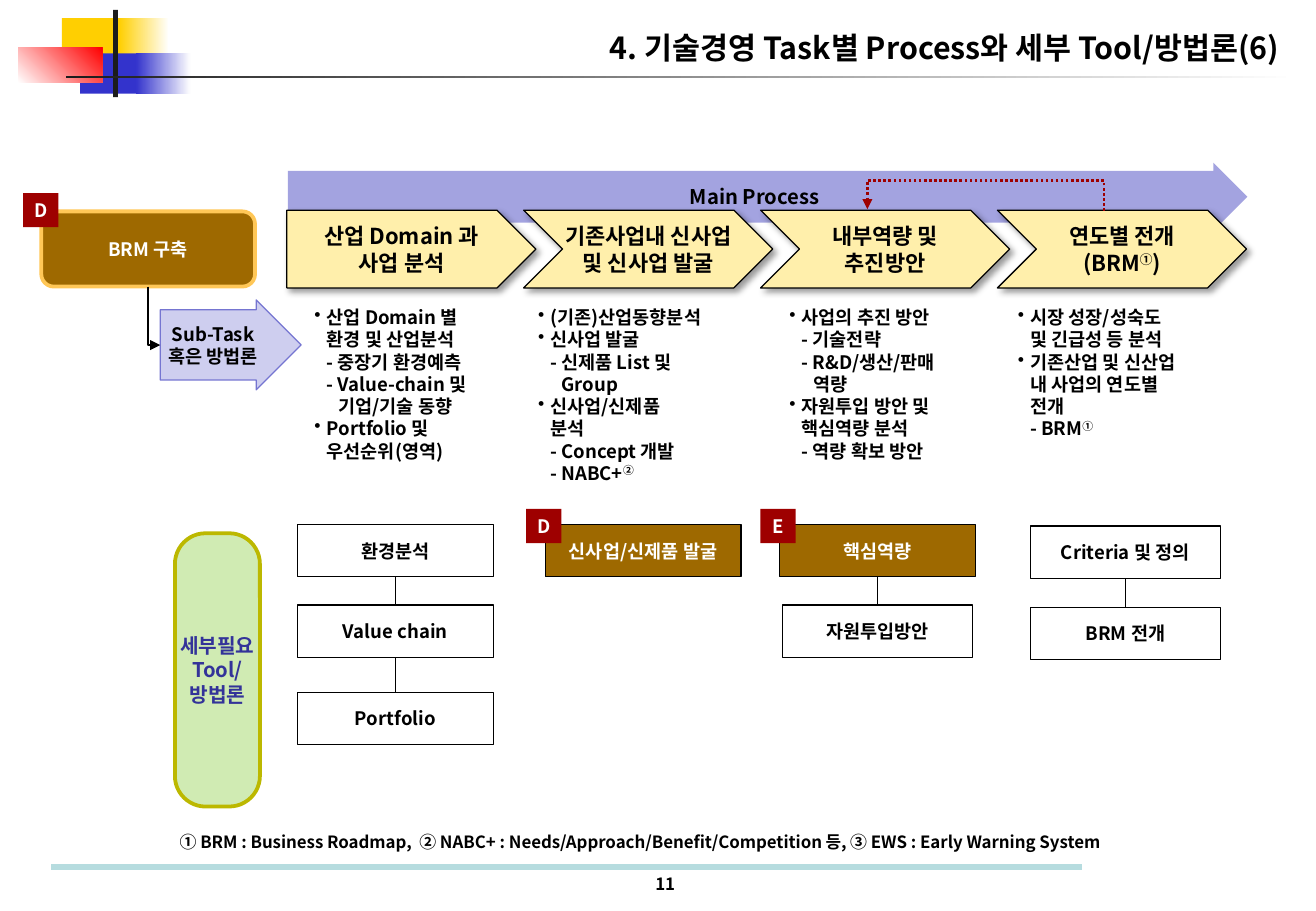
"""Build the technology-management process slide with its tools and methods."""
from lxml.etree import SubElement
from pptx import Presentation
from pptx.dml.color import RGBColor
from pptx.enum.dml import MSO_LINE
from pptx.enum.shapes import MSO_CONNECTOR, MSO_SHAPE
from pptx.enum.text import MSO_ANCHOR, MSO_AUTO_SIZE, PP_ALIGN
from pptx.oxml.ns import qn
from pptx.util import Pt

FONT = "Noto Sans CJK KR"
BLACK, WHITE = RGBColor(0, 0, 0), RGBColor(255, 255, 255)
YELLOW, BLUE, RED = RGBColor(0xFF, 0xCF, 0x01), RGBColor(0x33, 0x33, 0xCC), RGBColor(0xFF, 0, 0)
CHARCOAL, TEAL = RGBColor(0x1C, 0x1C, 0x1C), RGBColor(0xB6, 0xDC, 0xDF)
LAVENDER, PALE_LAVENDER = RGBColor(0xA3, 0xA3, 0xE0), RGBColor(0xCE, 0xCE, 0xEF)
VIOLET, NAVY = RGBColor(0x75, 0x75, 0xD1), RGBColor(0x33, 0x33, 0x99)
CREAM, BROWN, GOLD = RGBColor(0xFF, 0xEF, 0xAB), RGBColor(0x9E, 0x69, 0), RGBColor(0xFF, 0xC7, 0x57)
GREEN, OLIVE, MAROON = RGBColor(0xD0, 0xEB, 0xB3), RGBColor(0xBC, 0xB8, 0), RGBColor(0x9E, 0, 0)

TITLE = "4. 기술경영 Task별 Process와 세부 Tool/방법론(6)"
FOOTNOTE = ("① BRM : Business Roadmap,  ② NABC+ : Needs/Approach/Benefit/Competition 등, "
            "③ EWS : Early Warning System")
DECORATION = [
    (36.7, 10.8, 38.9, 23.8, YELLOW, None, 0),
    (70.6, 10.8, 29.5, 23.8, YELLOW, WHITE, 0),
    (47.5, 31.7, 37.4, 23.8, BLUE, None, 0),
    (80.6, 31.7, 32.4, 23.8, BLUE, WHITE, 0),
    (10.8, 28.1, 49.7, 20.9, WHITE, RED, 45),
    (67, 5.8, 2.9, 51.8, CHARCOAL, None, 0),
    (38.9, 44.9, 730, 1.2, CHARCOAL, WHITE, 0),
]
STAGES = [["산업 Domain 과", "사업 분석"], ["기존사업내 신사업", "및 신사업 발굴"],
          ["내부역량 및", "추진방안"], ["연도별 전개", "(BRM^①^)"]]
DETAILS = [
    (179.3, 111.6, ["산업 Domain 별\v환경 및 산업분석", "- 중장기 환경예측",
                    "- Value-chain 및\v기업/기술 동향", "Portfolio 및\v우선순위(영역)"]),
    (311.8, 118.8, ["(기존)산업동향분석", "신사업 발굴", "- 신제품 List 및\vGroup",
                    "신사업/신제품\v분석", "- Concept 개발", "- NABC+^②"]),
    (460.8, 109.4, ["사업의 추진 방안", "- 기술전략", "- R&D/생산/판매\v역량",
                    "자원투입 방안 및\v핵심역량 분석", "- 역량 확보 방안"]),
    (596.2, 118.8, ["시장 성장/성숙도\v및 긴급성 등 분석",
                    "기존산업 및 신산업\v내 사업의 연도별\v전개", "- BRM^①"]),
]
TOOL_CHAINS = [
    (234.4, [("환경분석", 311, 116, WHITE), ("Value chain", 358.6, 116, WHITE),
             ("Portfolio", 410.4, 116, WHITE)]),
    (381.2, [("신사업/신제품 발굴", 311, 116, BROWN)]),
    (520.1, [("핵심역량", 311, 116, BROWN), ("자원투입방안", 358.6, 113, WHITE)]),
    (667.1, [("Criteria 및 정의", 311.8, 113, WHITE), ("BRM 전개", 360, 113, WHITE)]),
]
BADGES = [("D", 13.7, 114.5), ("D", 311.8, 301.7), ("E", 450.7, 301.7)]

presentation = Presentation()
presentation.slide_width, presentation.slide_height = Pt(780), Pt(540)
slide = presentation.slides.add_slide(presentation.slide_layouts[5])


def write(frame, lines, size, color=BLACK, align=PP_ALIGN.CENTER, wrap=False, bulleted=False):
    frame.word_wrap = wrap
    frame.auto_size = MSO_AUTO_SIZE.NONE
    for index, line in enumerate(lines):
        paragraph = frame.paragraphs[0] if index == 0 else frame.add_paragraph()
        if bulleted:
            is_dash = line.startswith("-")
            properties = paragraph._p.get_or_add_pPr()
            properties.set("marL", str(Pt(14 if is_dash else 7.2)))
            properties.set("indent", str(Pt(-6.8 if is_dash else -7.2)))
            if not is_dash:
                SubElement(properties, qn("a:buChar")).set("char", "•")
        for position, part in enumerate(line.split("^")):
            for row, words in enumerate(part.split("\v")):
                if row:
                    paragraph.add_line_break()
                run = paragraph.add_run()
                run.text = words
                if position % 2:
                    run.font._element.set("baseline", "30000")
        paragraph.alignment = align
        font = paragraph.font
        font.name, font.size, font.bold = FONT, Pt(size), True
        font.color.rgb = color


def add_box(kind, left, top, width, height, fill, line=None, line_width=0.75,
            lines=(), size=11, color=BLACK, adjustments=()):
    shape = slide.shapes.add_shape(kind, Pt(left), Pt(top), Pt(width), Pt(height))
    shape.shadow.inherit = False
    shape.fill.solid()
    shape.fill.fore_color.rgb = fill
    if line is None:
        shape.line.fill.background()
    else:
        shape.line.color.rgb = line
        shape.line.width = Pt(line_width)
    for index, value in enumerate(adjustments):
        shape.adjustments[index] = value
    if lines:
        shape.text_frame.vertical_anchor = MSO_ANCHOR.MIDDLE
        write(shape.text_frame, lines, size, color)
    return shape


def add_text(left, top, width, height, lines, size, **options):
    box = slide.shapes.add_textbox(Pt(left), Pt(top), Pt(width), Pt(height))
    write(box.text_frame, lines, size, **options)


def add_line(kind, start, end, color=BLACK, width=0.75):
    connector = slide.shapes.add_connector(kind, *map(Pt, (*start, *end)))
    connector.line.color.rgb = color
    connector.line.width = Pt(width)
    SubElement(connector._element.spPr, qn("a:effectLst"))
    return connector


def add_elbow_arrow(preset, start, end, color, width, adjustment=None):
    """Draw an elbow that leaves vertically, as a frame turned by 270 degrees."""
    center_x, center_y = (start[0] + end[0]) / 2, (start[1] + end[1]) / 2
    half_x, half_y = (start[1] - end[1]) / 2, (end[0] - start[0]) / 2
    connector = add_line(MSO_CONNECTOR.ELBOW, (center_x - half_x, center_y - half_y),
                         (center_x + half_x, center_y + half_y), color, width)
    properties = connector._element.spPr
    properties.find(qn("a:xfrm")).set("rot", "16200000")
    geometry = properties.find(qn("a:prstGeom"))
    geometry.set("prst", preset)
    if adjustment:
        guide = SubElement(geometry.find(qn("a:avLst")), qn("a:gd"))
        guide.set("name", "adj1")
        guide.set("fmla", f"val {adjustment}")
        connector.line.dash_style = MSO_LINE.ROUND_DOT
    SubElement(properties.find(qn("a:ln")), qn("a:tailEnd")).set("type", "triangle")


def add_soft_shadow(shape):
    shadow = SubElement(shape._element.spPr.find(qn("a:effectLst")), qn("a:outerShdw"))
    for name, value in (("blurRad", Pt(4)), ("dist", Pt(3)), ("dir", 45 * 60000)):
        shadow.set(name, str(int(value)))
    shade = SubElement(shadow, qn("a:srgbClr"))
    shade.set("val", "000000")
    SubElement(shade, qn("a:alpha")).set("val", "40000")


for left, top, width, height, first, last, angle in DECORATION:
    block = add_box(MSO_SHAPE.RECTANGLE, left, top, width, height, first)
    if last is not None:
        block.fill.gradient()
        block.fill.gradient_angle = angle
        for stop, color in zip(block.fill.gradient_stops, (first, last)):
            stop.color.rgb = color
add_line(MSO_CONNECTOR.STRAIGHT, (30.5, 514), (641.5, 514), TEAL, 3.5)

title = slide.shapes.title
title.left, title.top, title.width, title.height = Pt(329), Pt(13.7), Pt(436.3), Pt(28.8)
title.text_frame.vertical_anchor = MSO_ANCHOR.TOP
write(title.text_frame, [TITLE], 18, align=PP_ALIGN.RIGHT, wrap=True)
slide.shapes.element.append(title.element)

add_box(MSO_SHAPE.RIGHT_ARROW, 170.6, 96.5, 568.8, 40.3, LAVENDER,
        lines=["Main Process"], size=12, adjustments=(0.76, 0.5))
for index, lines in enumerate(STAGES):
    kind = MSO_SHAPE.CHEVRON if index else MSO_SHAPE.PENTAGON
    add_soft_shadow(add_box(kind, 170 + 140.4 * index, 124.6, 147.6, 46.1, CREAM, BLACK,
                            lines=lines, size=13))
for left, width, lines in DETAILS:
    add_text(left, 177.8, width, 110, lines, 11, align=PP_ALIGN.LEFT, wrap=True, bulleted=True)

add_box(MSO_SHAPE.ROUNDED_RECTANGLE, 24.5, 125.3, 126.7, 44.6, BROWN, GOLD, 2.25,
        ["BRM 구축"], color=WHITE)
add_box(MSO_SHAPE.RIGHT_ARROW, 95, 177.8, 83.5, 53.3, PALE_LAVENDER, VIOLET,
        lines=["Sub-Task", "혹은 방법론"], adjustments=(0.78, 0.5))
add_box(MSO_SHAPE.ROUNDED_RECTANGLE, 103.7, 316.1, 50.4, 162, GREEN, OLIVE, 2.25,
        ["세부필요", "Tool/", "방법론"], 12, NAVY, (0.36,))
add_elbow_arrow("bentConnector2", (87.8, 169.9), (95, 204.5), BLACK, 0.75)
add_elbow_arrow("bentConnector3", (654.5, 125), (514.1, 124), MAROON, 1.5, 1800000)

for center, tools in TOOL_CHAINS:
    previous = None
    for label, top, width, fill in tools:
        tool = add_box(MSO_SHAPE.RECTANGLE, center - width / 2, top, width, 31, fill, BLACK,
                       lines=[label], color=WHITE if fill == BROWN else BLACK)
        if previous is not None:
            link = add_line(MSO_CONNECTOR.STRAIGHT, (center, top - 10), (center, top))
            link.begin_connect(previous, 2)
            link.end_connect(tool, 0)
        previous = tool
for letter, left, top in BADGES:
    add_box(MSO_SHAPE.RECTANGLE, left, top, 20.9, 20.2, MAROON, lines=[letter], color=WHITE)

add_text(99.4, 489.6, 583.2, 19.4, [FOOTNOTE], 10, align=PP_ALIGN.LEFT, wrap=True)
add_text(380.2, 514.1, 28.1, 19.4, ["11"], 10)
presentation.save("out.pptx")
